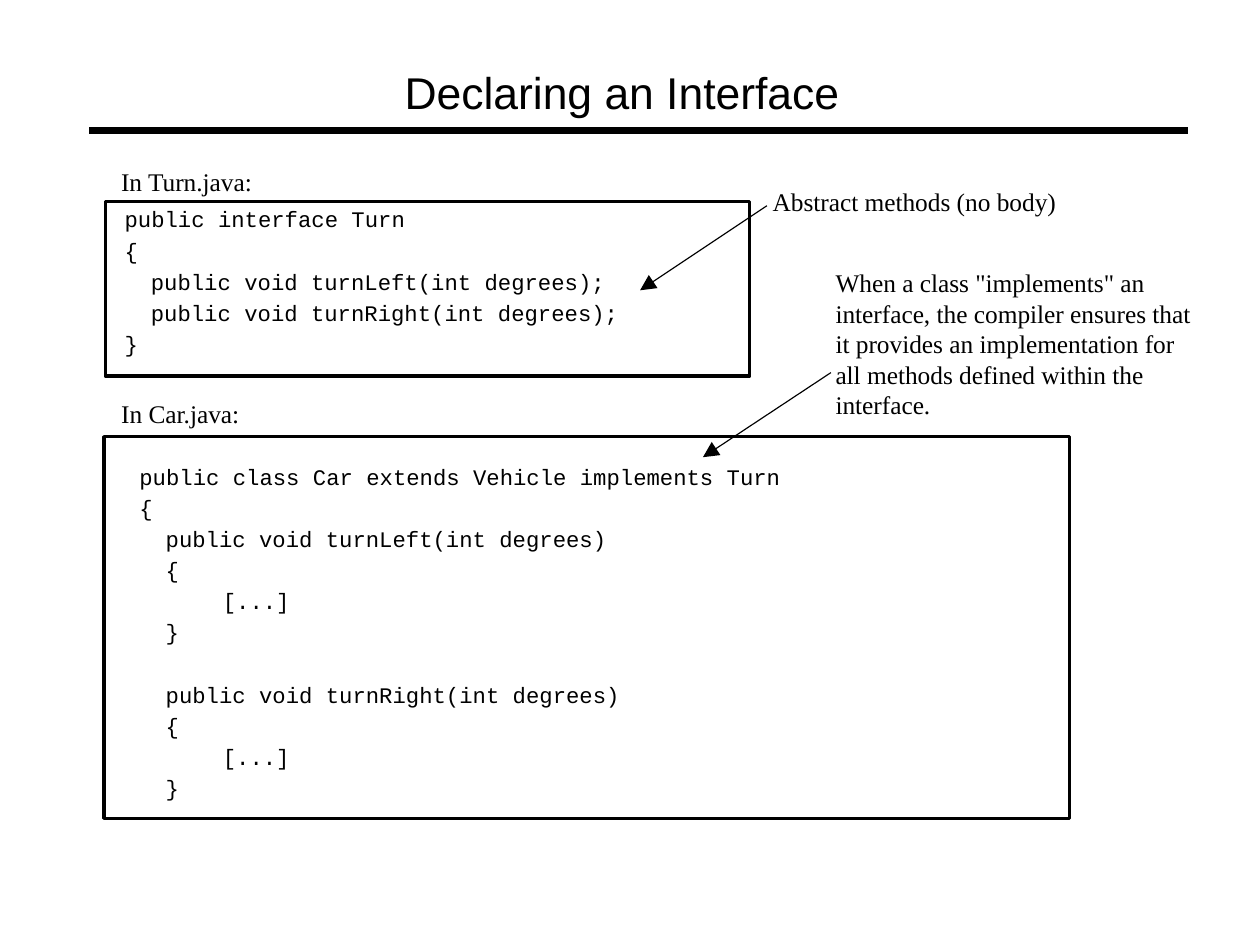
from pptx import Presentation
from pptx.dml.color import RGBColor as RGB
from pptx.enum.shapes import MSO_CONNECTOR as Link, MSO_SHAPE as Shape
from pptx.enum.text import MSO_AUTO_SIZE as Fit
from pptx.oxml.ns import qn
from pptx.util import Inches, Pt
from lxml.etree import SubElement

theme = {
    "ink": RGB(0, 0, 0),
    "paper": RGB(255, 255, 255),
    "title": ("Arial", 28),
    "note": ("Times New Roman", 16),
    "code": ("Courier New", 14),
}

deck = Presentation()
deck.slide_width = Inches(28 / 2.54)
deck.slide_height = Inches(21 / 2.54)
slide = deck.slides.add_slide(deck.slide_layouts[6])


def add_text(spot, lines, style, wrap=True):
    box = slide.shapes.add_textbox(*map(Inches, spot))
    frame = box.text_frame
    frame.margin_left = frame.margin_right = 0
    frame.margin_top = frame.margin_bottom = 0
    frame.word_wrap = wrap
    frame.auto_size = Fit.SHAPE_TO_FIT_TEXT
    frame.text = "\n".join(lines)
    face, size = theme[style]
    for para in frame.paragraphs:
        if style == "code":
            props = para._p.get_or_add_pPr()
            props.set("marL", str(Inches(0.23)))
            props.set("indent", str(-Inches(0.23)))
            tabs = SubElement(props, qn("a:tabLst"))
            for stop in (0, 1.3):
                SubElement(tabs, qn("a:tab"), pos=str(Inches(stop)), algn="l")
        for run in para.runs:
            run.font.name = face
            run.font.size = Pt(size)
            run.font.color.rgb = theme["ink"]
    if style == "code":
        for para in frame.paragraphs[1:]:
            para.space_before = Pt(2.8)
    return frame


def add_line(start, end, width, arrow=False):
    line = slide.shapes.add_connector(Link.STRAIGHT, *map(Inches, start + end))
    line.line.color.rgb = theme["ink"]
    line.line.width = Pt(width)
    if arrow:
        edge = line.line._get_or_add_ln()
        SubElement(edge, qn("a:tailEnd"), type="triangle", w="lg", len="lg")
    SubElement(line._element.spPr, qn("a:effectLst"))


add_line((0.78, 1.14), (10.39, 1.14), 4.31)
add_text((3.54, 0.57, 5.28, 0.47), ["Declaring an Interface"], "title")

for spot in ((0.92, 1.76, 5.64, 1.53), (0.91, 3.82, 8.45, 3.34)):
    panel = slide.shapes.add_shape(Shape.ROUNDED_RECTANGLE, *map(Inches, spot))
    panel.adjustments[0] = 0
    panel.shadow.inherit = False
    panel.fill.solid()
    panel.fill.fore_color.rgb = theme["paper"]
    panel.line.color.rgb = theme["ink"]
    panel.line.width = Pt(2)

add_text((1.06, 1.45, 1.16, 0.27), ["In Turn.java:"], "note", False)
add_text((1.09, 1.8, 4.88, 1.32), [
    "public interface Turn",
    "{",
    "\tpublic void turnLeft(int degrees);",
    "\tpublic void turnRight(int degrees);",
    "}",
], "code")

add_text((1.06, 3.48, 1.05, 0.27), ["In Car.java:"], "note", False)
body = ["\t{", "\t\t[...]", "\t}"]
car = add_text((1.22, 4.05, 7.23, 3.22), [
    "public class Car extends Vehicle implements Turn",
    "{",
    "\tpublic void turnLeft(int degrees)",
    *body,
    "\tpublic void turnRight(int degrees)",
    *body,
], "code")
car.paragraphs[6].space_before = Pt(22.4)

add_text((6.76, 1.63, 3.13, 0.27), ["Abstract methods (no body)"], "note")
add_text((7.31, 2.34, 3.11, 1.33), [
    'When a class "implements" an',
    "interface, the compiler ensures that",
    "it provides an implementation for",
    "all methods defined within the",
    "interface.",
], "note", False)

add_line((6.71, 1.8), (5.6, 2.54), 0.75, True)
add_line((7.27, 3.26), (6.15, 4), 0.75, True)

deck.save("out.pptx")
